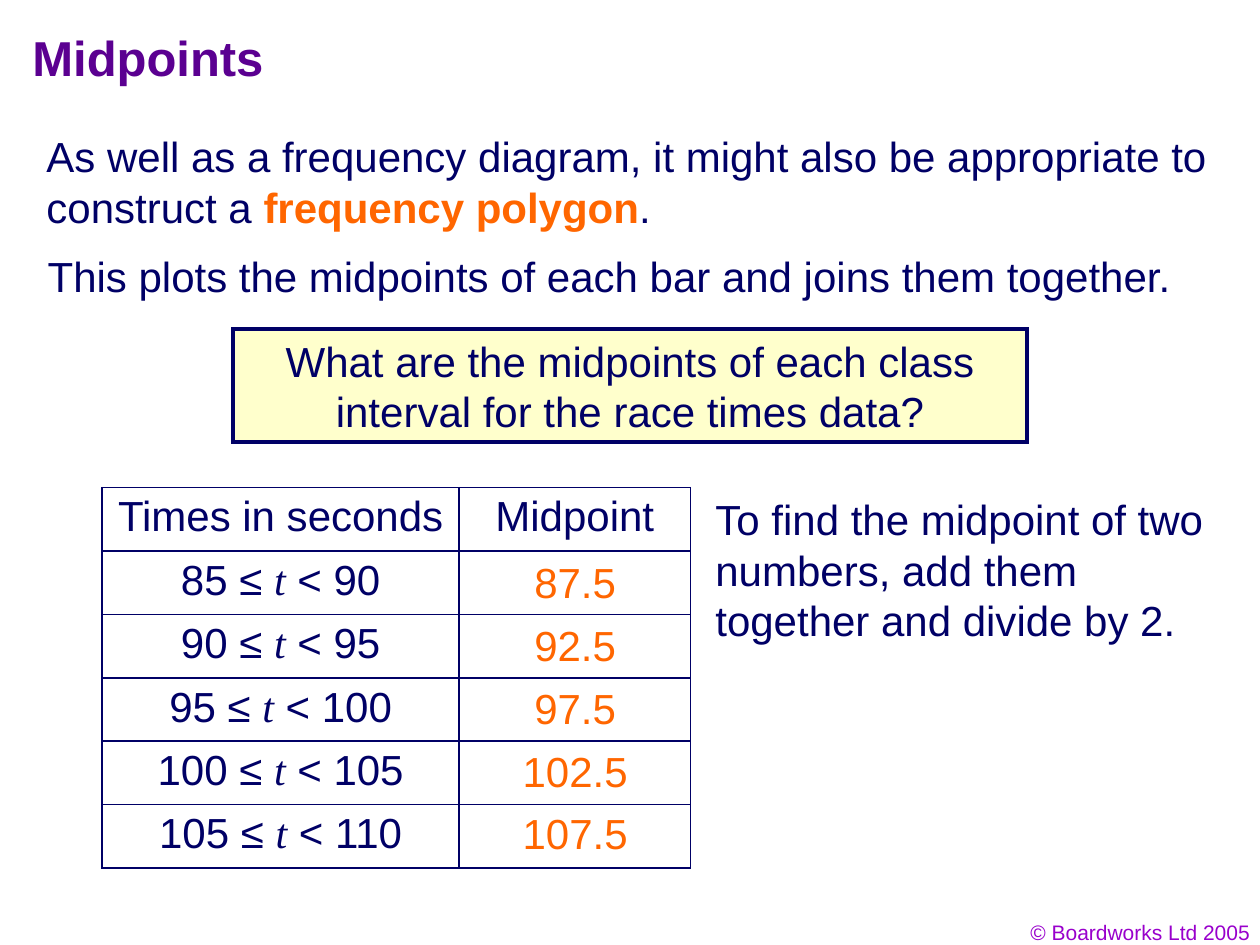
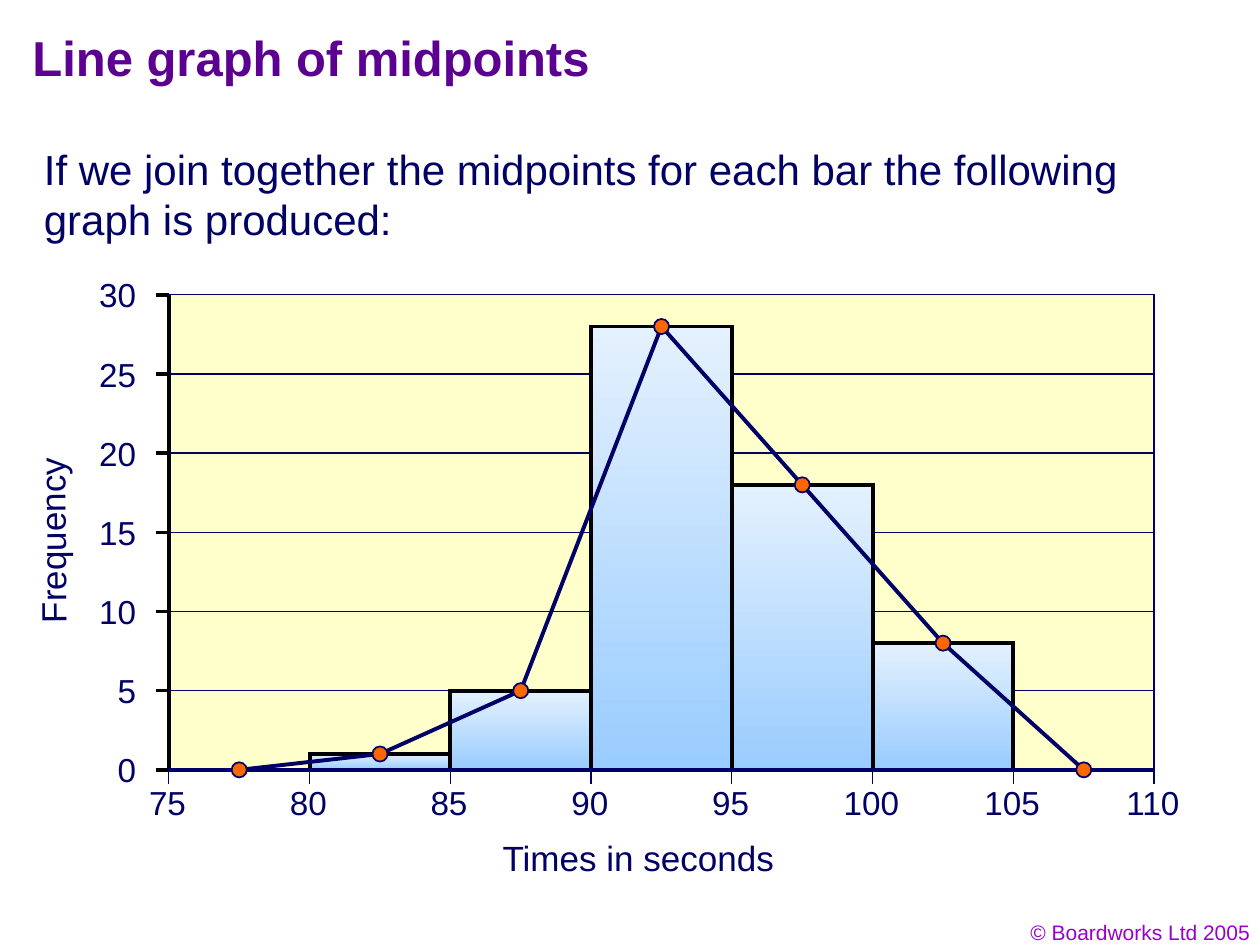
from itertools import pairwise

from lxml import etree
from pptx import Presentation
from pptx import util as u
from pptx.dml.color import RGBColor
from pptx.enum import shapes, text
from pptx.oxml.ns import qn

NAVY = RGBColor(0x00, 0x00, 0x66)
ORANGE = RGBColor(0xFF, 0x66, 0x00)
PURPLE = RGBColor(0x5B, 0x00, 0x91)
VIOLET = RGBColor(0x99, 0x00, 0xCC)
CREAM = RGBColor(0xFF, 0xFF, 0xCC)
BLACK = RGBColor(0x00, 0x00, 0x00)
PALE_BLUE = RGBColor(0xE4, 0xF1, 0xFE)
SKY_BLUE = RGBColor(0x99, 0xCC, 0xFF)

WIDTH, HEIGHT = u.Inches(10), u.Inches(7.5)
COLUMN, ROW = WIDTH / 100, HEIGHT / 75

LEFT, CENTER, RIGHT = text.PP_ALIGN.LEFT, text.PP_ALIGN.CENTER, text.PP_ALIGN.RIGHT
RECTANGLE, OVAL = shapes.MSO_SHAPE.RECTANGLE, shapes.MSO_SHAPE.OVAL

# The graph's plot area, in grid columns and rows
PLOT_LEFT, PLOT_RIGHT, PLOT_TOP, PLOT_BOTTOM = 13.4, 91.6, 23.4, 61.1
FIRST_TIME, LAST_TIME, TOP_FREQUENCY, STEP = 75, 110, 30, 5
FREQUENCIES = [0, 1, 5, 28, 18, 8, 0]


def place(column, row, columns, rows):
    """Turn grid units into left, top, width and height (or two end points)."""
    return (u.Emu(round(column * COLUMN)), u.Emu(round(row * ROW)),
            u.Emu(round(columns * COLUMN)), u.Emu(round(rows * ROW)))


def write(frame, spans, size=24, color=NAVY, align=LEFT):
    """Fill a text frame with one paragraph; a span is (text, font overrides)."""
    para = frame.paragraphs[0]
    para.alignment = align
    for words, changes in spans:
        span = para.add_run()
        span.text = words
        style = {"name": "Arial", "bold": False, "italic": False, "color": color} | changes
        span.font.size = u.Pt(size)
        span.font.color.rgb = style.pop("color")
        for key, value in style.items():
            setattr(span.font, key, value)


def plain(words):
    return [(words, {})]


def add_text(page, area, spans, wrap=True, inset=True, middle=False, **style):
    box = page.shapes.add_textbox(*place(*area))
    frame = box.text_frame
    frame.word_wrap = wrap
    if not inset:
        frame.margin_left = frame.margin_right = frame.margin_top = frame.margin_bottom = 0
    if middle:
        frame.vertical_anchor = text.MSO_ANCHOR.MIDDLE
    write(frame, spans, **style)
    return box


def add_shape(page, kind, area, fill, line, weight):
    """Add a shape with square-cornered outline; a pair of fills runs downwards."""
    shape = page.shapes.add_shape(kind, *place(*area))
    shape.shadow.inherit = False
    if isinstance(fill, list):
        shape.fill.gradient()
        shape.fill.gradient_angle = 270
        for stop, color in zip(shape.fill.gradient_stops, fill):
            stop.color.rgb = color
    else:
        shape.fill.solid()
        shape.fill.fore_color.rgb = fill
    shape.line.color.rgb = line
    shape.line.width = u.Pt(weight)
    outline = shape._element.spPr.find(qn("a:ln"))
    etree.SubElement(outline, qn("a:miter"), lim="800000")
    return shape


def add_line(page, start, end, color, weight):
    line = page.shapes.add_connector(
        shapes.MSO_CONNECTOR.STRAIGHT, *place(*start, *end))
    line.line.color.rgb = color
    line.line.width = u.Pt(weight)
    etree.SubElement(line._element.spPr, qn("a:effectLst"))


def add_cell_borders(cell, color, weight):
    properties = cell._tc.get_or_add_tcPr()
    for index, side in enumerate(("a:lnL", "a:lnR", "a:lnT", "a:lnB")):
        border = etree.Element(qn(side), w=str(u.Pt(weight)))
        fill = etree.SubElement(border, qn("a:solidFill"))
        etree.SubElement(fill, qn("a:srgbClr"), val=str(color))
        properties.insert(index, border)


def add_table(page, area, column_widths, rows):
    grid = page.shapes.add_table(len(rows), len(column_widths), *place(*area)).table
    grid.first_row = grid.horz_banding = False
    for column, width in zip(grid.columns, column_widths):
        column.width = u.Emu(round(width * COLUMN))
    for row, contents in zip(grid.rows, rows):
        for cell, spans in zip(row.cells, contents):
            cell.fill.background()
            add_cell_borders(cell, NAVY, 1.08)
            write(cell.text_frame, spans, align=CENTER)


def add_page(deck, title):
    page = deck.slides.add_slide(deck.slide_layouts[6])
    add_text(page, (1.6, 1.6, 85, 5.9), [(title, {"bold": True})],
             middle=True, size=28, color=PURPLE)
    add_text(page, (76.9, 72.5, 23.3, 3), plain("© Boardworks Ltd 2005"),
             size=12, color=VIOLET, align=RIGHT)
    return page


def interval(start):
    return [(f"{start} ≤ ", {}),
            ("t", {"name": "Times New Roman", "italic": True}),
            (f" < {start + STEP}", {})]


def build_midpoints(deck):
    page = add_page(deck, "Midpoints")
    add_text(page, (2.7, 9.9, 94.5, 9), [
        ("As well as a frequency diagram, it might also be appropriate to construct a ", {}),
        ("frequency polygon", {"bold": True, "color": ORANGE}),
        (".", {})])
    add_text(page, (2.8, 19.4, 91.3, 5),
             plain("This plots the midpoints of each bar and joins them together."), wrap=False)
    question = add_shape(page, RECTANGLE, (18.5, 26.1, 63, 9), CREAM, NAVY, 2.25)
    question.text_frame.word_wrap = True
    write(question.text_frame, plain(
        "What are the midpoints of each class interval for the race times data?"), align=CENTER)

    starts = range(85, 110, STEP)
    header = plain("Times in seconds"), plain("Midpoint")
    add_table(page, (8.1, 38.7, 46.7, 30.2), (28.35, 18.35),
              [header, *((interval(start), []) for start in starts)])
    for index, start in enumerate(starts):
        add_text(page, (39, 43.7 + index * 4.98, 13.3, 5), plain(str(start + STEP / 2)),
                 color=ORANGE, align=CENTER)
    add_text(page, (55.8, 38.7, 41.4, 13), plain(
        "To find the midpoint of two numbers, add them together and divide by 2."))


def time_column(time):
    return PLOT_LEFT + (PLOT_RIGHT - PLOT_LEFT) * (time - FIRST_TIME) / (LAST_TIME - FIRST_TIME)


def frequency_row(frequency):
    return PLOT_BOTTOM - (PLOT_BOTTOM - PLOT_TOP) * frequency / TOP_FREQUENCY


def add_axes(page):
    plot_width = PLOT_RIGHT - PLOT_LEFT
    band = frequency_row(0) - frequency_row(STEP)
    for frequency in range(0, TOP_FREQUENCY + 1, STEP):
        row = frequency_row(frequency)
        if frequency:
            add_shape(page, RECTANGLE, (PLOT_LEFT, row, plot_width, band), CREAM, NAVY, 0.75)
        add_line(page, (PLOT_LEFT - 1, row), (PLOT_LEFT, row), BLACK, 0)
        add_text(page, (6.8, row - 1.6, 4, 3.2), plain(str(frequency)),
                 inset=False, size=19, align=RIGHT)
    for time in range(FIRST_TIME, LAST_TIME + 1, STEP):
        column = time_column(time)
        add_line(page, (column, PLOT_BOTTOM - 0.9), (column, PLOT_BOTTOM + 1.1), NAVY, 0.75)
        add_text(page, (column - 3.3, 61.6, 6.4, 4.2), plain(str(time)),
                 wrap=False, size=19, align=CENTER)
    add_text(page, (38.9, 65.9, 23.6, 4.4), plain("Times in seconds"), wrap=False, size=20)
    add_text(page, (-5.2, 38.9, 18.7, 4.4), plain("Frequency"), size=20).rotation = 269.5


def add_bars(page):
    width = time_column(FIRST_TIME + STEP) - PLOT_LEFT
    for index, frequency in enumerate(FREQUENCIES):
        if frequency:
            left = time_column(FIRST_TIME + index * STEP)
            top = frequency_row(frequency)
            add_shape(page, RECTANGLE, (left, top, width, PLOT_BOTTOM - top),
                      [PALE_BLUE, SKY_BLUE], BLACK, 2.25)
    add_line(page, (PLOT_LEFT, PLOT_TOP), (PLOT_LEFT, PLOT_BOTTOM), BLACK, 2.25)
    add_line(page, (PLOT_LEFT, PLOT_BOTTOM), (PLOT_RIGHT, PLOT_BOTTOM), NAVY, 2.25)


def add_polygon(page):
    """Join the midpoints of the bar tops and mark each one."""
    points = [(time_column(FIRST_TIME + (index + 0.5) * STEP), frequency_row(frequency))
              for index, frequency in enumerate(FREQUENCIES)]
    for start, end in pairwise(points):
        add_line(page, start, end, NAVY, 2.25)
    size = 1.2
    for column, row in points:
        add_shape(page, OVAL, (column - size / 2, row - size / 2, size, size), ORANGE, NAVY, 1)


def build_line_graph(deck):
    page = add_page(deck, "Line graph of midpoints")
    add_text(page, (2.5, 10.9, 95.5, 9), plain(
        "If we join together the midpoints for each bar the following graph is produced:"))
    add_axes(page)
    add_bars(page)
    add_polygon(page)


def main():
    deck = Presentation()
    deck.slide_width, deck.slide_height = WIDTH, HEIGHT
    build_midpoints(deck)
    build_line_graph(deck)
    deck.save("out.pptx")


if __name__ == "__main__":
    main()
